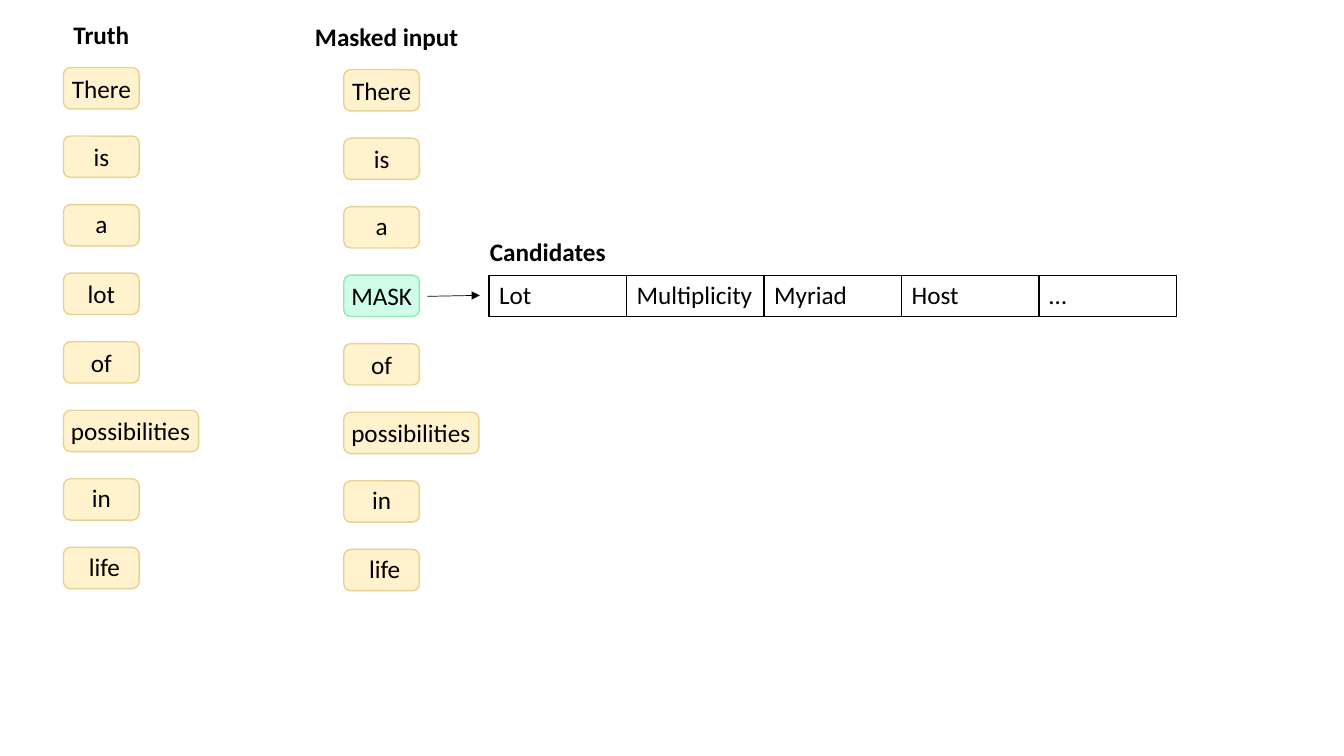
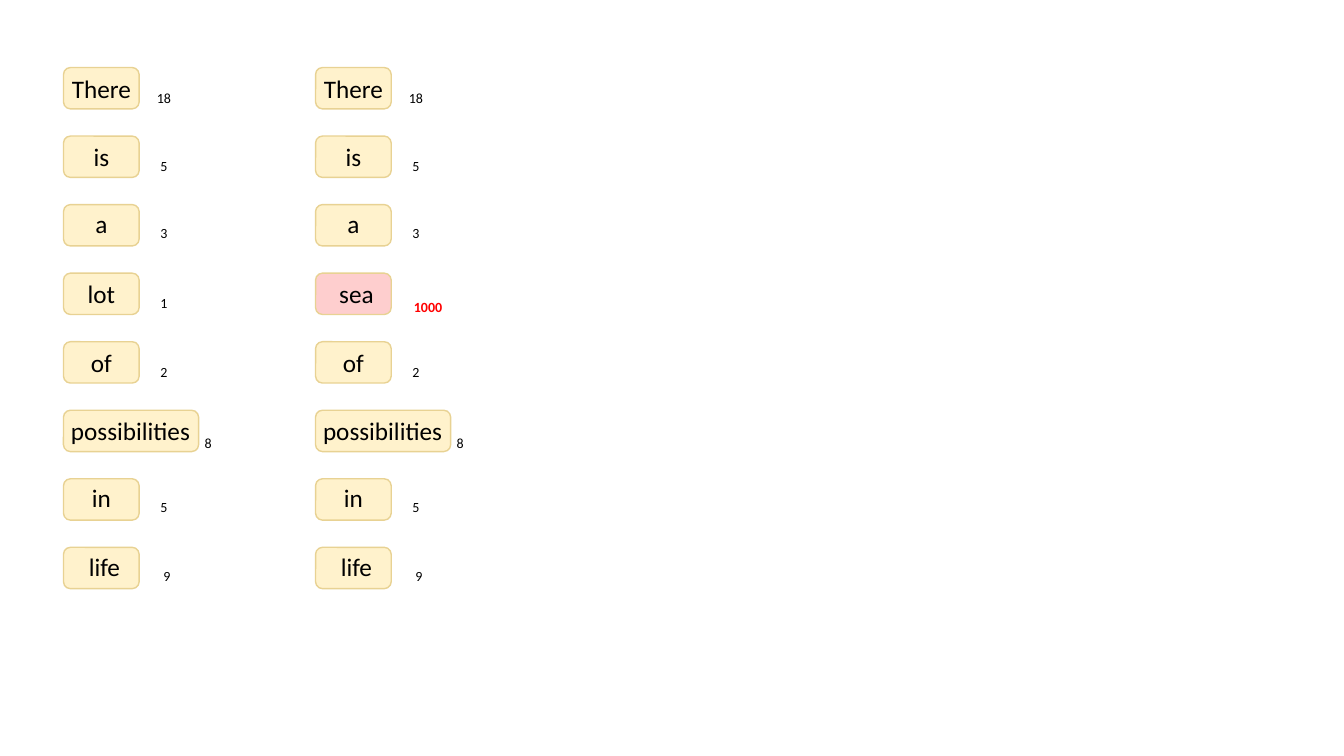
import dataclasses

import pptx
import pptx.dml.color
import pptx.enum.shapes
import pptx.enum.text
import pptx.oxml
import pptx.oxml.ns
import pptx.slide
import pptx.table
import pptx.util

Inches = pptx.util.Inches
Pt = pptx.util.Pt
Align = pptx.enum.text.PP_ALIGN

FONT = "Calibri"
BLACK = "000000"
RED = "FF0000"
CREAM, SAND = "FFF2CC", "E8D293"
MINT, GREEN = "CEFEE7", "94E8B0"
PINK = "FECECE"

ROW_STEP = 0.68
BOX_HEIGHT = 0.41
MASKED_ROW = 3


@dataclasses.dataclass(frozen=True)
class Word:
    text: str
    count: str
    label_dx: float = -0.07
    label_dy: float = 0
    box_width: float = 0.75
    label_width: float = 0.89
    fill: str = CREAM
    line: str = SAND
    count_dx: float = 0.62
    count_dy: float = 0.16
    count_color: str = BLACK
    count_bold: bool = False


SENTENCE = [
    Word("There", "18", label_dy=0.01),
    Word("is", "5"),
    Word("a", "3", label_dy=-0.01),
    Word("lot", "1"),
    Word("of", "2", label_dy=0.01),
    Word("possibilities", "8", label_dx=-0.1, box_width=1.34, label_width=1.53,
         count_dx=0.77, count_dy=0.19),
    Word("in", "5", label_dy=-0.01),
    Word("life", "9", label_dx=-0.04, label_dy=-0.01),
]
MASK = Word("MASK", "", fill=MINT, line=GREEN)
SEA = Word("sea", "1000", label_dx=-0.04, fill=PINK, count_dx=0.71,
           count_dy=0.2, count_color=RED, count_bold=True)
CANDIDATES = ["Lot", "Multiplicity", "Myriad", "Host", "…"]


def rgb(color: str) -> pptx.dml.color.RGBColor:
    return pptx.dml.color.RGBColor.from_string(color)


def write_text(frame: pptx.text.text.TextFrame, text: str, *, size: float = 18,
               color: str = BLACK, bold: bool = False,
               align: Align = Align.CENTER) -> None:
    paragraph = frame.paragraphs[0]
    paragraph.alignment = align
    run = paragraph.add_run()
    run.text = text
    run.font.name = FONT
    run.font.size = Pt(size)
    run.font.bold = bold
    run.font.color.rgb = rgb(color)


def add_text(slide: pptx.slide.Slide, text: str, left: float, top: float,
             width: float, height: float = 0.4, **text_format) -> None:
    shape = slide.shapes.add_textbox(
        Inches(left), Inches(top), Inches(width), Inches(height))
    shape.text_frame.word_wrap = True
    shape.text_frame.auto_size = pptx.enum.text.MSO_AUTO_SIZE.SHAPE_TO_FIT_TEXT
    write_text(shape.text_frame, text, **text_format)


def add_word_box(slide: pptx.slide.Slide, word: Word, left: float, top: float) -> None:
    shape = slide.shapes.add_shape(
        pptx.enum.shapes.MSO_SHAPE.ROUNDED_RECTANGLE,
        Inches(left), Inches(top), Inches(word.box_width), Inches(BOX_HEIGHT))
    shape.shadow.inherit = False
    shape.fill.solid()
    shape.fill.fore_color.rgb = rgb(word.fill)
    shape.line.color.rgb = rgb(word.line)
    shape.line.width = Pt(1)


def add_word_column(slide: pptx.slide.Slide, words: list[Word], left: float,
                    top: float, show_counts: bool = False) -> None:
    for row, word in enumerate(words):
        box_top = top + row * ROW_STEP
        label_left, label_top = left + word.label_dx, box_top + word.label_dy
        add_word_box(slide, word, left, box_top)
        add_text(slide, word.text, label_left, label_top, word.label_width)
        if show_counts:
            add_text(slide, word.count, label_left + word.count_dx,
                     label_top + word.count_dy, word.label_width, 0.27,
                     size=10, color=word.count_color, bold=word.count_bold)


def replace_masked(word: Word) -> list[Word]:
    return SENTENCE[:MASKED_ROW] + [word] + SENTENCE[MASKED_ROW + 1:]


def add_arrow(slide: pptx.slide.Slide, start: tuple[float, float],
              end: tuple[float, float]) -> None:
    arrow = slide.shapes.add_connector(
        pptx.enum.shapes.MSO_CONNECTOR.STRAIGHT,
        *(Inches(value) for value in start + end))
    arrow.line.color.rgb = rgb(BLACK)
    arrow.line.width = Pt(0.5)
    namespace = pptx.oxml.ns.nsdecls("a")
    arrow.line._get_or_add_ln().append(
        pptx.oxml.parse_xml(f'<a:tailEnd {namespace} type="triangle"/>'))
    arrow._element.spPr.append(pptx.oxml.parse_xml(f"<a:effectLst {namespace}/>"))


def set_borders(cell: pptx.table._Cell) -> None:
    properties = cell._tc.get_or_add_tcPr()
    for index, side in enumerate(("lnL", "lnR", "lnT", "lnB")):
        properties.insert(index, pptx.oxml.parse_xml(
            f'<a:{side} {pptx.oxml.ns.nsdecls("a")} w="{Pt(1)}"><a:solidFill>'
            f'<a:srgbClr val="{BLACK}"/></a:solidFill></a:{side}>'))


def add_candidate_table(slide: pptx.slide.Slide) -> None:
    table = slide.shapes.add_table(
        1, len(CANDIDATES), Inches(4.85), Inches(2.73),
        Inches(6.82), Inches(BOX_HEIGHT)).table
    table.first_row = False
    table.horz_banding = False
    for column, candidate in enumerate(CANDIDATES):
        cell = table.cell(0, column)
        cell.fill.background()
        set_borders(cell)
        write_text(cell.text_frame, candidate, align=Align.LEFT)


def build_masking_slide(slide: pptx.slide.Slide) -> None:
    add_word_column(slide, SENTENCE, 0.63, 0.67)
    add_word_column(slide, replace_masked(MASK), 3.41, 0.69)
    add_arrow(slide, (4.24, 2.94), (4.76, 2.93))
    add_text(slide, "Candidates", 4.76, 2.3, 2.25, bold=True, align=Align.LEFT)
    add_candidate_table(slide)
    add_text(slide, "Truth", -0.12, 0.14, 2.25, bold=True)
    add_text(slide, "Masked input", 2.71, 0.16, 2.25, bold=True)


def build_count_slide(slide: pptx.slide.Slide) -> None:
    add_word_column(slide, SENTENCE, 0.63, 0.67, show_counts=True)
    add_word_column(slide, replace_masked(SEA), 3.13, 0.67, show_counts=True)


def main() -> None:
    presentation = pptx.Presentation()
    presentation.slide_width = Inches(13.33)
    presentation.slide_height = Inches(7.5)
    blank_layout = presentation.slide_layouts[6]
    for build in (build_masking_slide, build_count_slide):
        build(presentation.slides.add_slide(blank_layout))
    presentation.save("out.pptx")


main()
